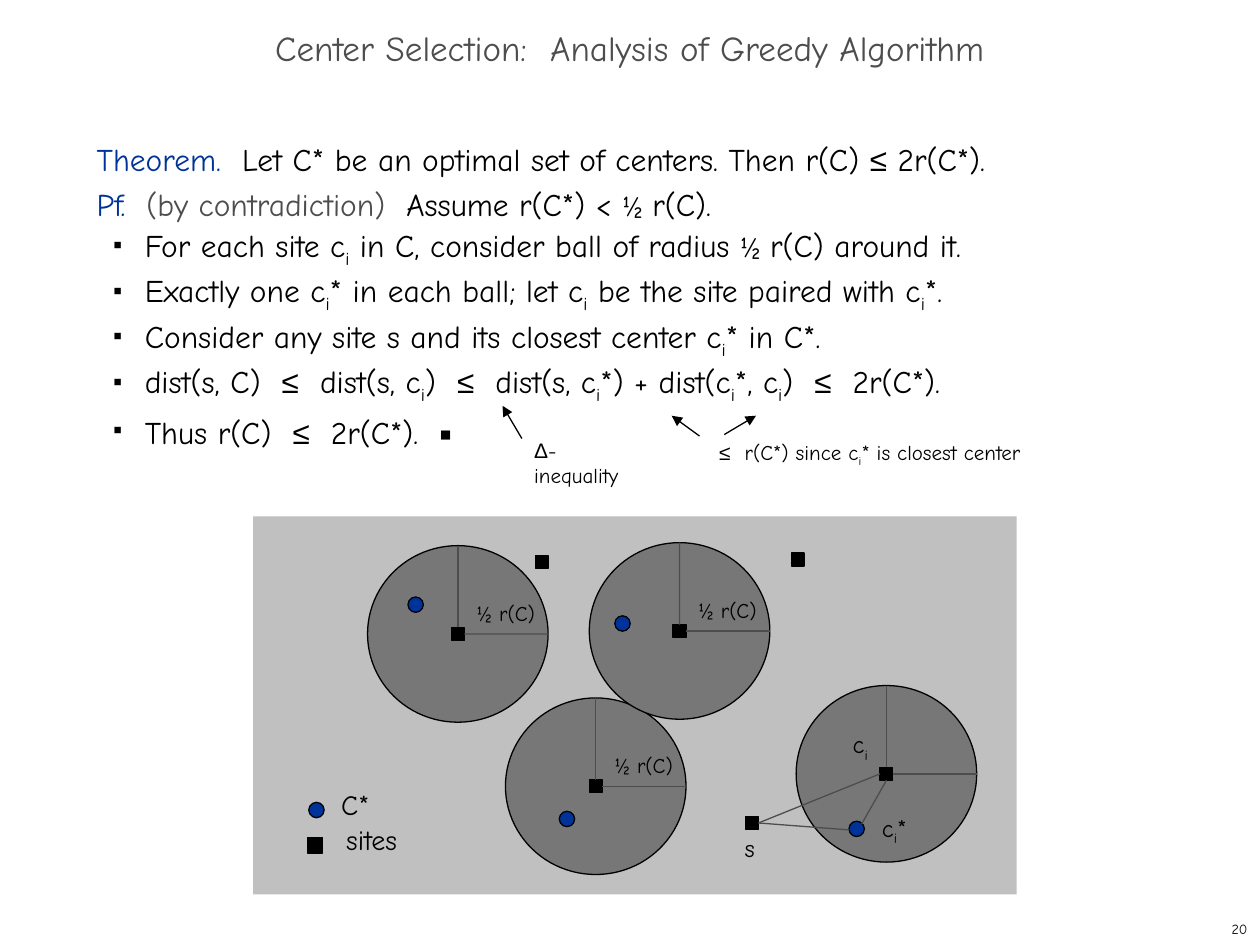
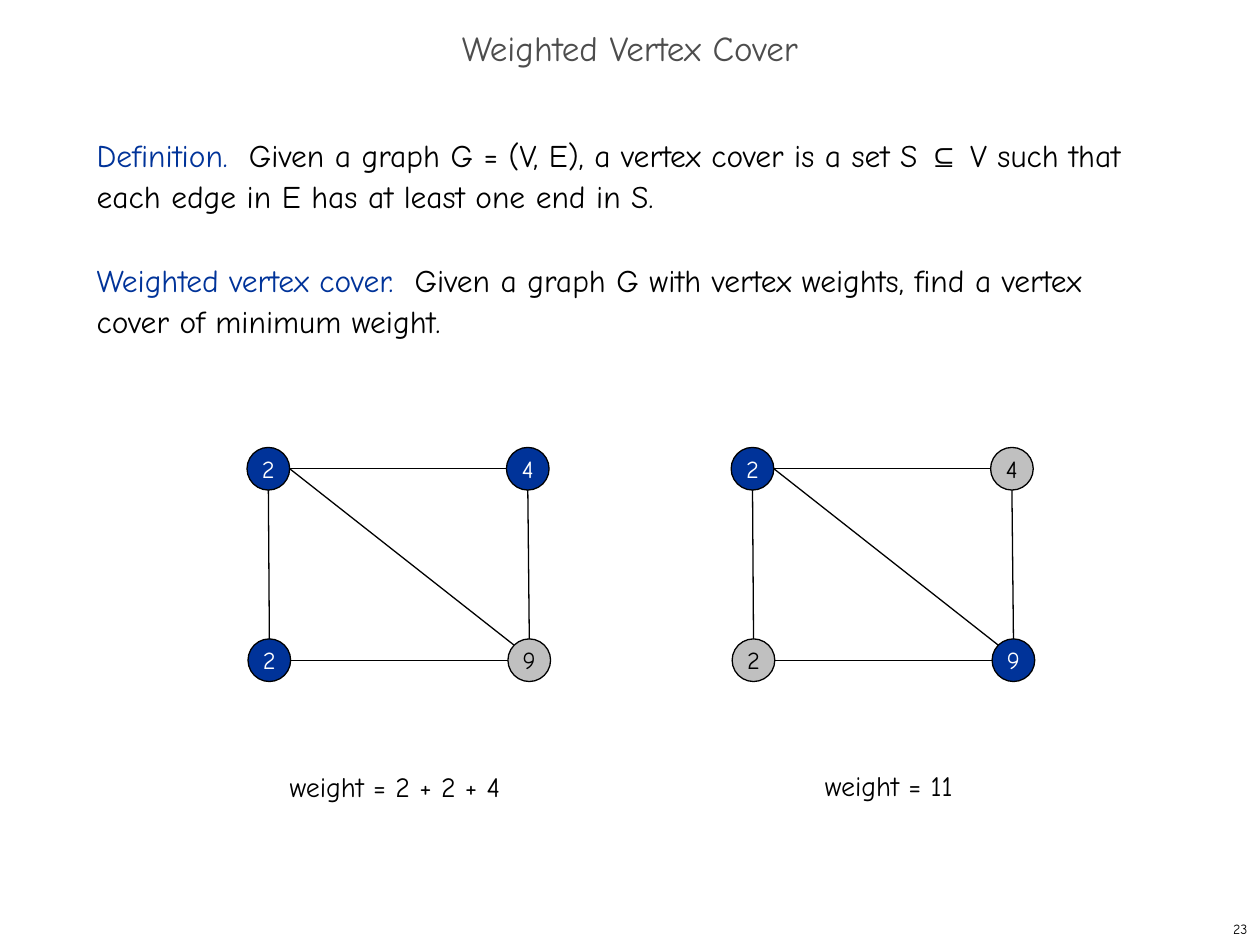
from lxml import etree
from pptx import Presentation
from pptx import util as u
from pptx.dml.color import RGBColor
from pptx.enum import shapes, text
from pptx.oxml.ns import qn

HUES = {
    "ink": "000000", "blue": "003399", "gray": "4D4D4D",
    "pale": "C0C0C0", "ball": "777777", "white": "FFFFFF",
}
FONT = "Comic Neue"
MATH = "Arial"
SUB = ("i", {"sub": True})
LEQ = ("≤", {"face": MATH})
HALF = ("½ ", {"size": 16})
RECT = shapes.MSO_SHAPE.RECTANGLE
OVAL = shapes.MSO_SHAPE.OVAL


def blue(words):
    return words, {"hue": "blue"}


def hue(name):
    return RGBColor.from_string(HUES[name])


class Deck:
    def __init__(self):
        self.prs = Presentation()
        self.prs.slide_width = u.Cm(25.4)
        self.prs.slide_height = u.Cm(19.05)
        self.slide = None

    def page(self, title, number):
        self.slide = self.prs.slides.add_slide(self.prs.slide_layouts[6])
        mid = text.MSO_ANCHOR.MIDDLE
        self.box(0, 0.43, 25.4, 1.27, [[title]], 20, "gray", pitch=0.7,
                 align=text.PP_ALIGN.CENTER, anchor=mid)
        self.box(20.12, 18.42, 5.28, 0.63, [[str(number)]], 8,
                 align=text.PP_ALIGN.RIGHT, anchor=mid)

    def run(self, para, words, size, tint, face=FONT, sub=False):
        run = para.add_run()
        run.text = words
        run.font.size = u.Pt(size)
        run.font.name = face
        run.font.color.rgb = hue(tint)
        if sub:
            run._r.get_or_add_rPr().set("baseline", "-25000")

    def fill(self, para, parts, size, tint):
        for part in parts:
            words, look = (part, {}) if isinstance(part, str) else part
            self.run(para, words, look.get("size", size), look.get("hue", tint),
                     look.get("face", FONT), look.get("sub", False))

    def bullet(self, para):
        props = para._p.get_or_add_pPr()
        props.set("marL", str(u.Cm(0.97)))
        props.set("indent", str(u.Cm(-0.63)))
        color = etree.SubElement(props, qn("a:buClr"))
        etree.SubElement(color, qn("a:srgbClr")).set("val", HUES["ink"])
        etree.SubElement(props, qn("a:buSzPct")).set("val", "35000")
        etree.SubElement(props, qn("a:buChar")).set("char", "■")

    def box(self, x, y, w, h, paras, size, tint="ink", pitch=None, gap=0,
            align=text.PP_ALIGN.LEFT, anchor=text.MSO_ANCHOR.TOP,
            wrap=True, marks=()):
        box = self.slide.shapes.add_textbox(u.Cm(x), u.Cm(y), u.Cm(w), u.Cm(h))
        frame = box.text_frame
        frame.word_wrap = wrap
        frame.vertical_anchor = anchor
        for i, parts in enumerate(paras):
            para = frame.add_paragraph() if i else frame.paragraphs[0]
            if i in marks:
                self.bullet(para)
            para.alignment = align
            if pitch:
                para.line_spacing = pitch
            if i and gap:
                para.space_before = u.Pt(gap)
            self.fill(para, parts, size, tint)

    def label(self, x, y, w, parts, size):
        self.box(x, y, w, 0.84, [parts], size, wrap=False)

    def shape(self, kind, x, y, w, h, color, edge=True):
        item = self.slide.shapes.add_shape(
            kind, u.Cm(x - w / 2), u.Cm(y - h / 2), u.Cm(w), u.Cm(h))
        item.shadow.inherit = False
        item.fill.solid()
        item.fill.fore_color.rgb = hue(color)
        if edge:
            item.line.color.rgb = hue("ink")
            item.line.width = u.Pt(0.75)
        else:
            item.line.fill.background()
        return item

    def site(self, x, y, side=0.26):
        return self.shape(RECT, x, y, side, side, "ink")

    def dot(self, x, y):
        self.shape(OVAL, x, y, 0.31, 0.31, "blue")

    def node(self, x, y, weight, chosen):
        item = self.shape(OVAL, x, y, 0.86, 0.86, "blue" if chosen else "pale")
        frame = item.text_frame
        frame.word_wrap = False
        frame.vertical_anchor = text.MSO_ANCHOR.MIDDLE
        para = frame.paragraphs[0]
        para.alignment = text.PP_ALIGN.CENTER
        self.run(para, str(weight), 14, "white" if chosen else "ink")

    def line(self, x1, y1, x2, y2, color="ink", tip=False, start=None, end=None):
        wire = self.slide.shapes.add_connector(
            shapes.MSO_CONNECTOR.STRAIGHT, u.Cm(x1), u.Cm(y1), u.Cm(x2), u.Cm(y2))
        if start:
            wire.begin_connect(*start)
        if end:
            wire.end_connect(*end)
        wire.line.color.rgb = hue(color)
        wire.line.width = u.Pt(0.75)
        if tip:
            tail = etree.SubElement(wire.line._get_or_add_ln(), qn("a:tailEnd"))
            tail.set("type", "triangle")
        etree.SubElement(wire._element.spPr, qn("a:effectLst"))

    def ball(self, x, y):
        wide, high = 3.64, 3.56
        self.shape(OVAL, x, y, wide, high, "ball")
        hub = self.site(x, y)
        self.line(x, y, x + wide / 2, y, "gray", start=(hub, 3))
        self.line(x, y, x, y - high / 2, "gray", start=(hub, 0))
        return hub


def greedy(deck):
    deck.page("Center Selection:  Analysis of Greedy Algorithm", 20)
    proof = [
        [blue("Theorem.  "), "Let C* be an optimal set of centers. Then r(C) ",
         LEQ, " 2r(C*)."],
        [blue("Pf.  "), ("(by contradiction)", {"hue": "gray"}),
         "  Assume r(C*) < ", HALF, "r(C)."],
        ["For each site c", SUB, " in C, consider ball of radius ", HALF,
         "r(C) around it."],
        ["Exactly one c", SUB, "* in each ball; let c", SUB,
         " be the site paired with c", SUB, "*."],
        ["Consider any site s and its closest center c", SUB, "* in C*."],
        ["dist(s, C)  ", LEQ, "  dist(s, c", SUB, ")  ", LEQ, "  dist(s, c", SUB,
         "*) + dist(c", SUB, "*, c", SUB, ")  ", LEQ, "  2r(C*)."],
        ["Thus r(C)  ", LEQ, "  2r(C*).  ▪"],
    ]
    deck.box(1.7, 2.54, 21.23, 15.04, proof, 18, pitch=u.Pt(26), marks=range(2, 7))

    deck.shape(RECT, 12.8, 14.22, 15.39, 7.62, "pale", edge=False)
    for x, y in ((9.23, 12.78), (12.01, 15.85), (13.7, 12.72)):
        deck.ball(x, y)
        deck.label(x + 0.13, y - 0.8, 2.1, ["½ r(C)"], 12)
    hub = deck.ball(17.87, 15.6)

    for x, y in ((11.43, 16.51), (8.38, 12.19), (12.55, 12.57), (17.27, 16.71)):
        deck.dot(x, y)
    for x, y in ((16.08, 11.28), (10.92, 11.33)):
        deck.site(x, y)
    far = deck.site(15.16, 16.59)
    deck.line(17.74, 15.6, 15.29, 16.59, "gray", start=(hub, 1), end=(far, 3))
    deck.line(17.87, 15.73, 17.37, 16.61, "gray", start=(hub, 2))
    deck.line(15.29, 16.59, 17.12, 16.73, "gray", start=(far, 3))
    deck.label(16.94, 14.58, 0.81, ["c", SUB], 14)
    deck.label(17.53, 16.26, 1.02, ["c", SUB, "*"], 14)
    deck.label(14.76, 16.66, 0.71, ["s"], 14)

    deck.dot(6.38, 16.33)
    deck.site(6.35, 17.04, 0.31)
    deck.label(6.63, 15.75, 1.09, ["C*"], 16)
    deck.label(6.73, 16.46, 1.55, ["sites"], 16)

    deck.label(14.25, 8.74, 6.71,
               [LEQ, "  r(C*) since c", SUB, "* is closest center"], 12)
    deck.box(10.52, 8.69, 2.5, 0.76,
             [[("Δ", {"face": MATH}), "-inequality"]], 12)
    for ends in ((14.1, 8.79, 13.54, 8.38), (14.6, 8.76, 15.24, 8.38),
                 (10.52, 8.84, 10.13, 8.18)):
        deck.line(*ends, tip=True)


def graph(deck, shift, chosen):
    spots = [(x + shift, y) for x, y in
             ((5.41, 9.45), (10.64, 9.45), (5.43, 13.31), (10.67, 13.31))]
    r = 0.43
    right, left, down, up = (r, 0), (-r, 0), (0, r), (0, -r)
    edges = ((0, right, 1, left), (0, right, 3, (-0.3, -0.3)),
             (2, right, 3, left), (0, down, 2, up), (1, down, 3, up))
    for a, out, b, into in edges:
        (x1, y1), (x2, y2) = spots[a], spots[b]
        deck.line(x1 + out[0], y1 + out[1], x2 + into[0], y2 + into[1])
    for i, (spot, weight) in enumerate(zip(spots, (2, 4, 2, 9))):
        deck.node(*spot, weight, i in chosen)


def cover(deck):
    deck.page("Weighted Vertex Cover", 23)
    terms = [
        [blue("Definition.  "),
         "Given a graph G = (V, E), a vertex cover is a set S ",
         ("⊆", {"face": MATH}),
         " V such that each edge in E has at least one end in S."],
        [blue("Weighted vertex cover.  "),
         "Given a graph G with vertex weights, find a vertex cover of minimum weight."],
    ]
    deck.box(1.7, 2.54, 21.79, 15.04, terms, 18, pitch=1.1, gap=23.7)
    graph(deck, 0, (0, 1, 2))
    graph(deck, 9.76, (0, 3))
    deck.label(5.59, 15.39, 4.78, ["weight = 2 + 2 + 4"], 16)
    deck.label(16.38, 15.37, 3.1, ["weight = 11"], 16)


def main():
    deck = Deck()
    greedy(deck)
    cover(deck)
    deck.prs.save("out.pptx")


if __name__ == "__main__":
    main()
